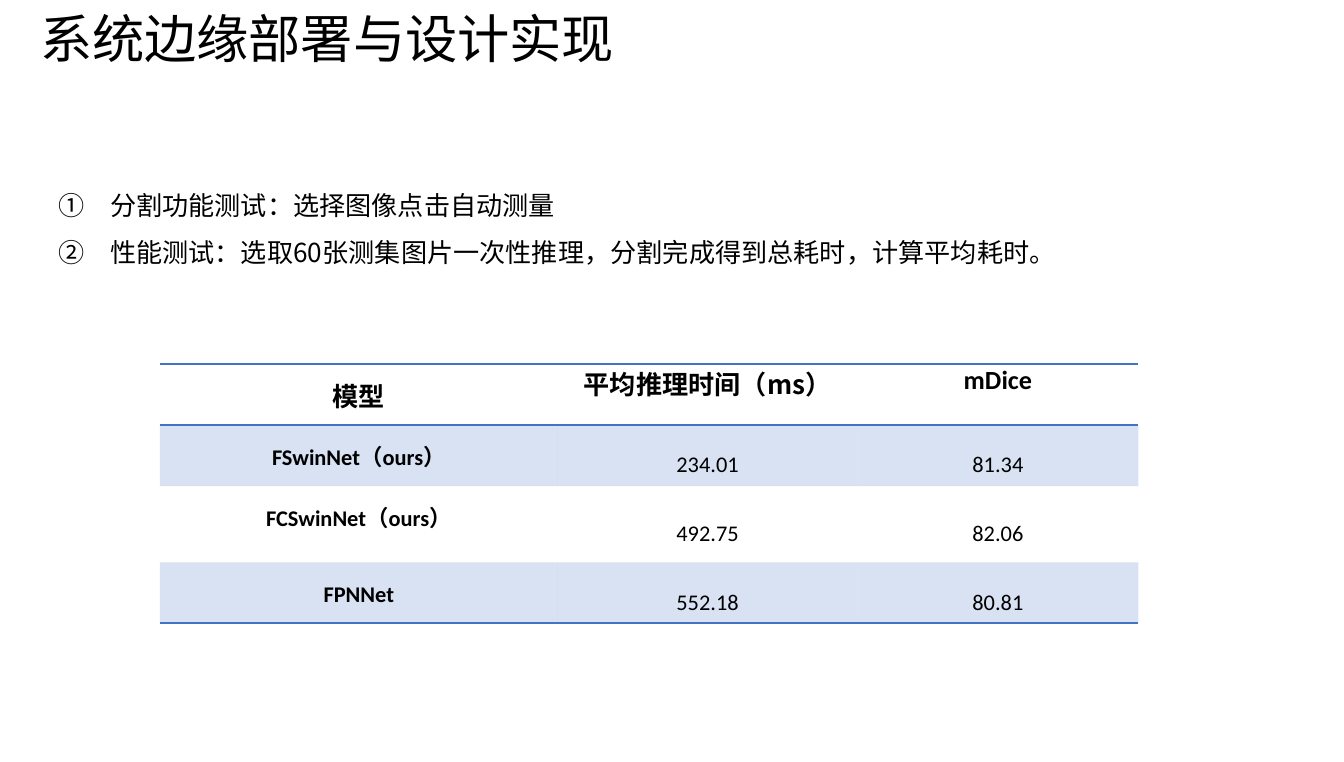
from lxml import etree
from pptx import Presentation
from pptx import util as u
from pptx.dml.color import RGBColor
from pptx.enum import text
from pptx.oxml import parse_xml
from pptx.oxml.ns import nsdecls, qn

theme = {
    "ink": "000000", "blue": "4472C4", "tint": 20000,
    "latin": "Calibri", "cjk": "Noto Sans CJK SC",
    "title": 28, "body": 14, "cell": 12, "line": 25,
}

deck = Presentation()
deck.slide_width, deck.slide_height = u.Inches(10), u.Inches(5.67)
W, H = deck.slide_width, deck.slide_height
slide = deck.slides.add_slide(deck.slide_layouts[6])


def style(par, size, face, bold=False):
    """Set the paragraph's font, with the CJK face for East Asian text."""
    font = par.font
    font.size, font.bold, font.name = u.Pt(size), bold, face
    font.color.rgb = RGBColor.from_string(theme["ink"])
    props = par._p.pPr.find(qn("a:defRPr"))
    etree.SubElement(props, qn("a:ea"), typeface=theme["cjk"])


def add_box(left, top, width, height):
    """Add a wrapping text box placed by shares of the slide."""
    box = slide.shapes.add_textbox(
        int(W * left), int(H * top), int(W * width), int(H * height))
    box.text_frame.word_wrap = True
    return box.text_frame


# Numbered tests
tests = [
    "分割功能测试：选择图像点击自动测量",
    "性能测试：选取60张测集图片一次性推理，分割完成得到总耗时，计算平均耗时。",
]
frame = add_box(0.034, 0.219, 0.929, 0.15)
for i, test in enumerate(tests):
    par = frame.add_paragraph() if i else frame.paragraphs[0]
    par.text = test
    par.line_spacing = 1.5
    props = par._p.get_or_add_pPr()
    props.set("marL", str(u.Inches(0.38)))
    props.set("indent", str(-u.Inches(0.38)))
    etree.SubElement(props, qn("a:buFont"), typeface=theme["cjk"])
    etree.SubElement(props, qn("a:buAutoNum"), type="circleNumDbPlain")
    style(par, theme["body"], theme["cjk"])

# Results table
data = [
    ["模型", "平均推理时间（ms）", "mDice"],
    ["FSwinNet（ours）", "234.01", "81.34"],
    ["FCSwinNet（ours）", "492.75", "82.06"],
    ["FPNNet", "552.18", "80.81"],
]
cols = [0.296, 0.223, 0.209]
rows = [0.08, 0.08, 0.1, 0.08]
grid = slide.shapes.add_table(
    len(rows), len(cols), int(W * 0.119), int(H * 0.478),
    int(W * sum(cols)), int(H * sum(rows))).table
grid.first_row = grid.horz_banding = False
plain = "{2D5ABB26-0587-4C30-8999-92F81FD0307C}"
grid._tbl.tblPr.find(qn("a:tableStyleId")).text = plain
for col, share in zip(grid.columns, cols):
    col.width = int(W * share)
for row, share in zip(grid.rows, rows):
    row.height = int(H * share)

for r, line in enumerate(data):
    head, last = r == 0, r == len(data) - 1
    for c, word in enumerate(line):
        cell = grid.cell(r, c)
        cell.text = word
        cell.margin_left = cell.margin_right = u.Inches(0.07)
        cell.margin_top = cell.margin_bottom = 0
        mid = head == (c == 0)
        cell.vertical_anchor = (
            text.MSO_ANCHOR.MIDDLE if mid else text.MSO_ANCHOR.TOP)
        par = cell.text_frame.paragraphs[0]
        par.alignment = text.PP_ALIGN.CENTER
        if not head:
            par.line_spacing = u.Pt(theme["line"])
        face = theme["cjk"] if head and c == 1 else theme["latin"]
        style(par, theme["body" if head else "cell"], face, head or c == 0)

        props = cell._tc.get_or_add_tcPr()
        for side in ["lnT"] * head + ["lnB"] * (head or last):
            props.append(parse_xml(
                f'<a:{side} {nsdecls("a")} w="12700"><a:solidFill>'
                f'<a:srgbClr val="{theme["blue"]}"/></a:solidFill></a:{side}>'))
        if r % 2:
            cell.fill.solid()
            cell.fill.fore_color.rgb = RGBColor.from_string(theme["blue"])
            shade = props.find(qn("a:solidFill")).find(qn("a:srgbClr"))
            etree.SubElement(shade, qn("a:alpha"), val=str(theme["tint"]))
        else:
            cell.fill.background()

# Title
par = add_box(0.02, 0, 0.676, 0.1).paragraphs[0]
par.text = "系统边缘部署与设计实现"
style(par, theme["title"], theme["cjk"])

deck.save("out.pptx")
